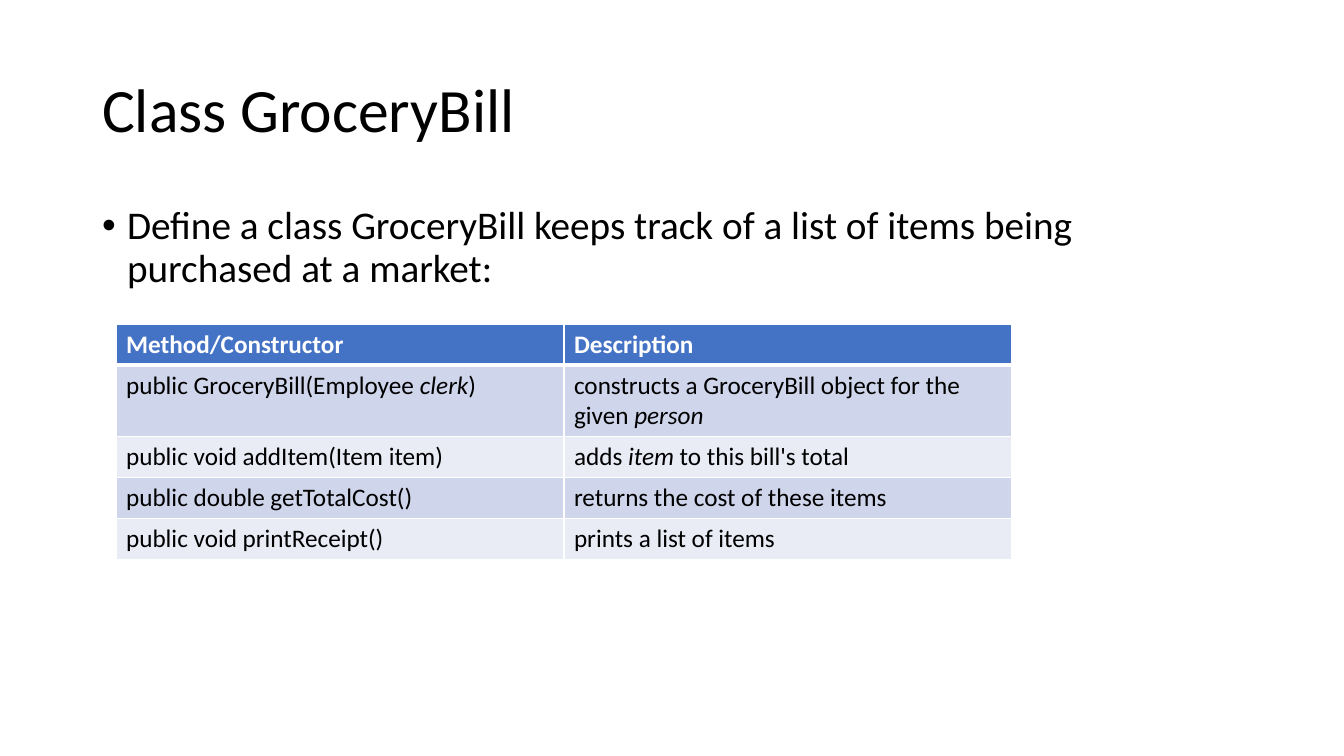
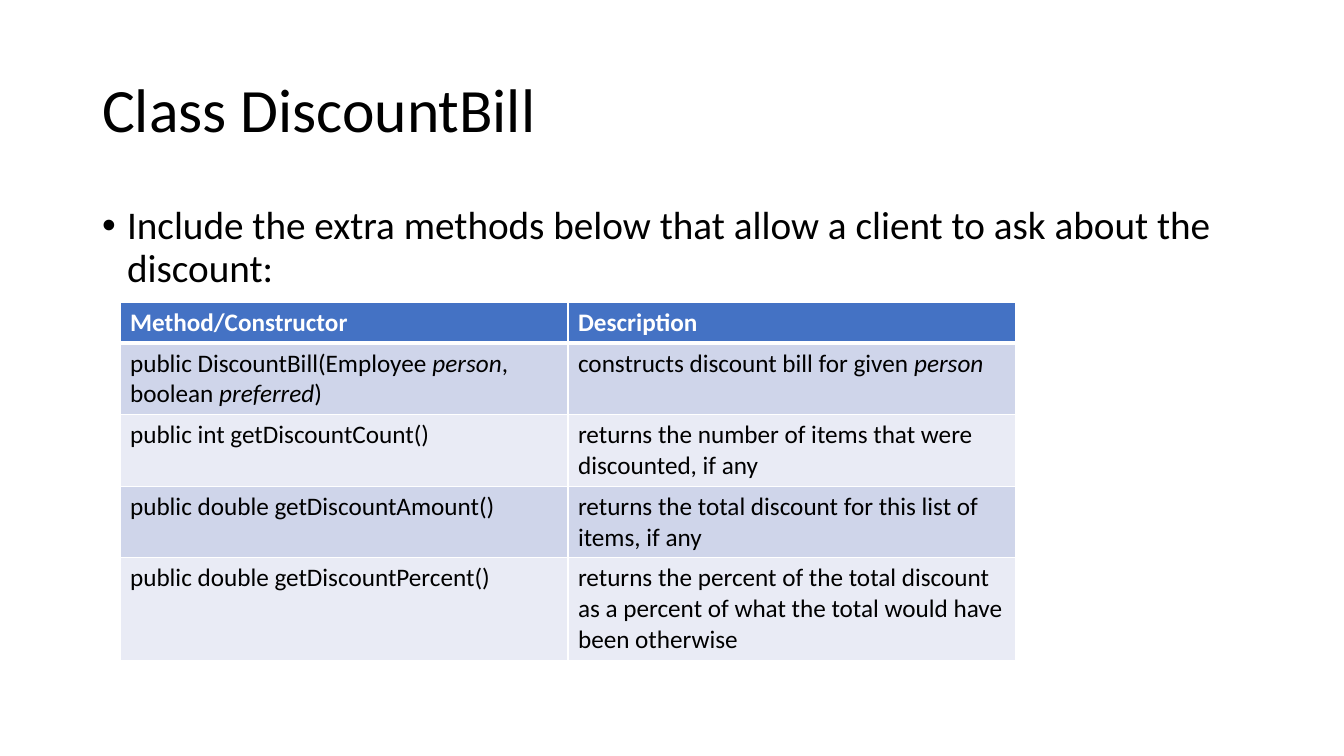
from lxml import etree
from pptx import Presentation
from pptx.dml.color import RGBColor
from pptx.enum.text import MSO_ANCHOR, MSO_AUTO_SIZE, PP_ALIGN
from pptx.oxml.ns import qn
from pptx.util import Emu, Pt

LEFT = PP_ALIGN.LEFT
MIDDLE, TOP = MSO_ANCHOR.MIDDLE, MSO_ANCHOR.TOP
FIXED = MSO_AUTO_SIZE.NONE

BLACK = RGBColor(0x00, 0x00, 0x00)
WHITE = RGBColor(0xFF, 0xFF, 0xFF)
BLUE = RGBColor(0x44, 0x72, 0xC4)
BANDS = RGBColor(0xE9, 0xEB, 0xF5), RGBColor(0xCF, 0xD5, 0xEA)

FONT = "Calibri"
SCALE = 914400 / 100.8
HEADS = ("Method/Constructor", "Description", 1)


def px(n):
    return Emu(round(n * SCALE))


class Deck:
    def __init__(self):
        self.prs = Presentation()
        self.prs.slide_width, self.prs.slide_height = px(1344), px(756)
        self.slide = None

    def page(self, title, lead):
        self.slide = self.prs.slides.add_slide(self.prs.slide_layouts[1])
        head, body = self.slide.placeholders
        self.fill(head, (92, 40, 1159, 146), title, 44, MIDDLE)
        para = self.fill(body, (92, 201, 1159, 480), lead, 28, TOP)
        para.space_before = Pt(10)
        # Hanging bullet
        props = para._p.get_or_add_pPr()
        props.set("marL", str(px(25)))
        props.set("indent", str(px(-25)))
        etree.SubElement(props, qn("a:buChar")).set("char", "•")

    def fill(self, shape, box, text, size, anchor):
        shape.left, shape.top, shape.width, shape.height = map(px, box)
        frame = shape.text_frame
        frame.text = text
        frame.word_wrap = True
        frame.auto_size = FIXED
        frame.vertical_anchor = anchor
        para = frame.paragraphs[0]
        para.alignment = LEFT
        para.line_spacing = 0.9
        para.space_before = Pt(0)
        self.style(para, size, BLACK)
        return para

    def style(self, para, size, color, bold=False):
        font = para.font
        font.name, font.size, font.bold = FONT, Pt(size), bold
        font.color.rgb = color

    def table(self, left, top, rows):
        """Each row holds two texts and its number of text lines."""
        rows = [HEADS, *rows]
        grid = self.slide.shapes.add_table(
            len(rows), 2, px(left), px(top), px(896), px(41 * len(rows))).table
        for r, (*texts, lines) in enumerate(rows):
            grid.rows[r].height = px(41 + 30 * (lines - 1))
            for c, text in enumerate(texts):
                self.cell(grid.cell(r, c), text, r)

    def cell(self, cell, text, row):
        head = row == 0
        self.edges(cell, 3 if row == 1 else 1, 3 if head else 1)
        cell.fill.solid()
        cell.fill.fore_color.rgb = BLUE if head else BANDS[row % 2]
        para = cell.text_frame.paragraphs[0]
        self.style(para, 18, WHITE if head else BLACK, head)
        # Parts between asterisks are italic
        for i, part in enumerate(text.split("*")):
            if part:
                run = para.add_run()
                run.text = part
                if i % 2:
                    run.font.italic = True

    def edges(self, cell, top, bottom):
        props = cell._tc.get_or_add_tcPr()
        for side, width in zip("LRTB", (1, 1, top, bottom)):
            line = etree.SubElement(props, qn("a:ln" + side))
            line.set("w", str(Pt(width)))
            solid = etree.SubElement(line, qn("a:solidFill"))
            etree.SubElement(solid, qn("a:srgbClr")).set("val", str(WHITE))


deck = Deck()

# Grocery bill
deck.page("Class GroceryBill",
          "Define a class GroceryBill keeps track of a list of items being "
          "purchased at a market:")
deck.table(116, 324, [
    ("public GroceryBill(Employee\u00a0*clerk*)",
     "constructs a\u00a0GroceryBill\u00a0object for the given\u00a0*person*", 2),
    ("public void addItem(Item\u00a0item)",
     "adds\u00a0*item*\u00a0to this bill's total", 1),
    ("public double getTotalCost()", "returns the cost of these items", 1),
    ("public void printReceipt()", "prints a list of items", 1),
])

# Discount bill
deck.page("Class DiscountBill",
          "Include the extra methods below that allow a client to ask about "
          "the discount:")
deck.table(120, 302, [
    ("public DiscountBill(Employee\u00a0*person*, boolean\u00a0*preferred*)",
     "constructs discount bill for given\u00a0*person*", 2),
    ("public int getDiscountCount()",
     "returns the number of items that were discounted, if any", 2),
    ("public double getDiscountAmount()",
     "returns the total discount for this list of items, if any", 2),
    ("public double getDiscountPercent()",
     "returns the percent of the total discount as a percent of what the "
     "total would have been otherwise", 3),
])

deck.prs.save("out.pptx")
